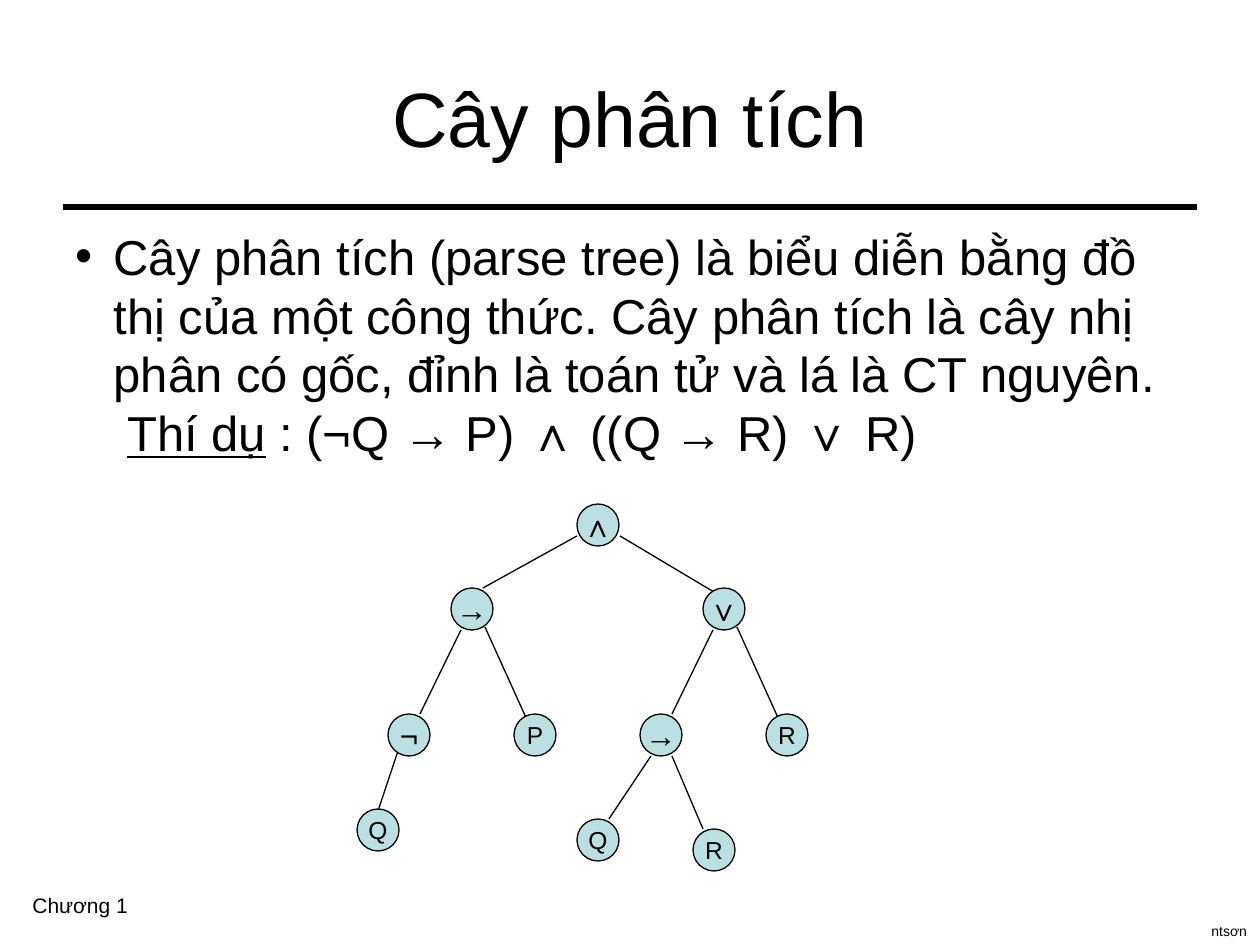
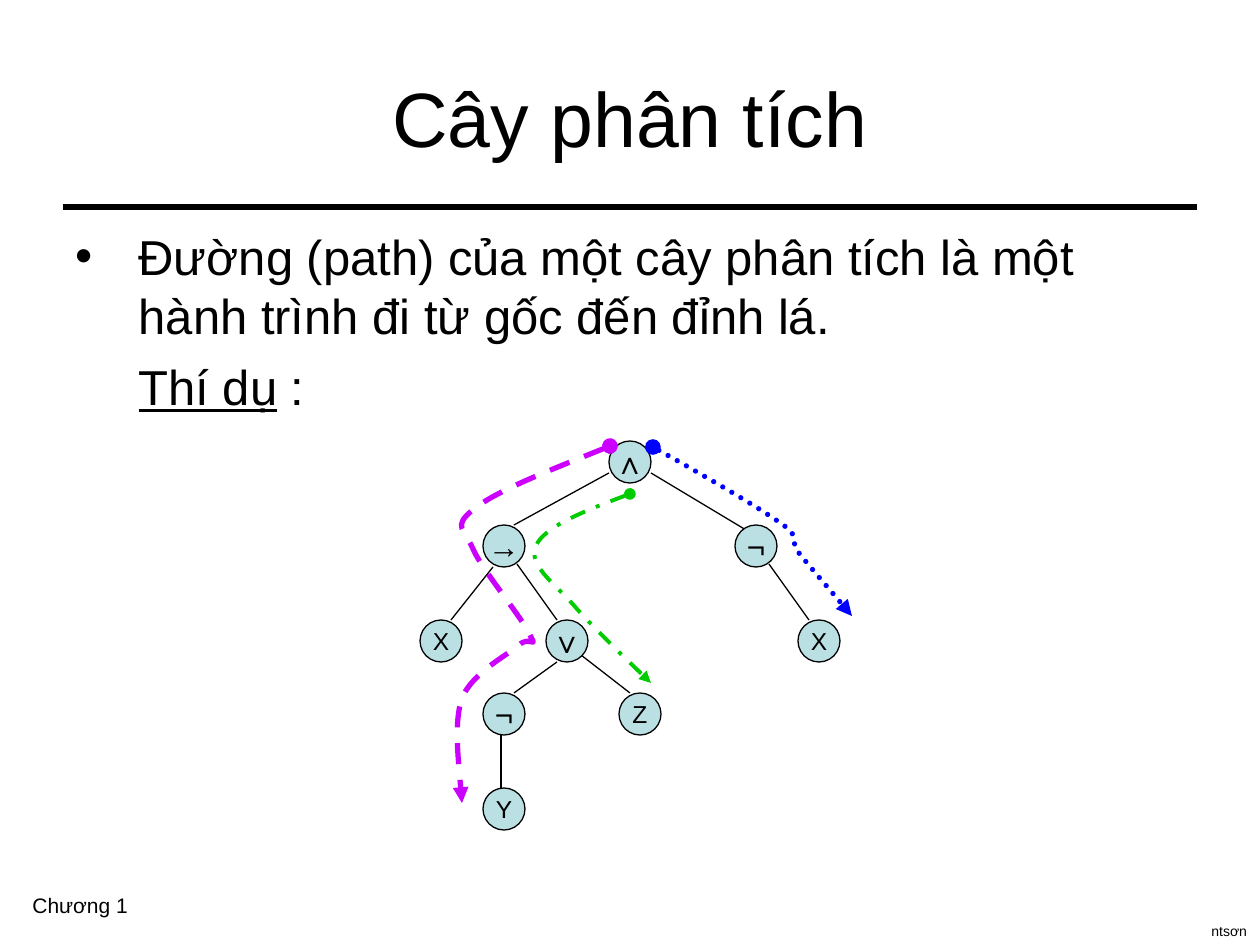
import lxml.etree
import pptx
import pptx.util
import pptx.dml.color
import pptx.enum.shapes
import pptx.enum.text
import pptx.oxml.ns

qn = pptx.oxml.ns.qn
RGB = pptx.dml.color.RGBColor.from_string
Pt = pptx.util.Pt
MIDDLE = pptx.enum.text.MSO_ANCHOR.MIDDLE
CENTER = pptx.enum.text.PP_ALIGN.CENTER
STRAIGHT = pptx.enum.shapes.MSO_CONNECTOR.STRAIGHT
OVAL = pptx.enum.shapes.MSO_SHAPE.OVAL
PX = 914400 // 126  # EMU in one pixel
NODE = 42           # node diameter

THEME = {
    "font": "Arial", "ink": "000000", "node": "BBE0E3",
    "title": 44, "body": 28, "operator": 18, "leaf": 14, "chapter": 12, "author": 8,
    "rule": 3, "edge": 0.75,
}


def style(p, size):
    """Give all runs and line breaks of a paragraph the theme's font."""
    for r in p.runs:
        r.font.name = THEME["font"]
        r.font.size = Pt(THEME[size])
        r.font.color.rgb = RGB(THEME["ink"])
    for br in p._p.findall(qn("a:br")):
        lxml.etree.SubElement(br, qn("a:rPr"), sz=str(THEME[size] * 100))


def add_line(s, x1, y1, x2, y2, width):
    line = s.shapes.add_connector(STRAIGHT, x1 * PX, y1 * PX, x2 * PX, y2 * PX)
    line.line.color.rgb = RGB(THEME["ink"])
    line.line.width = Pt(THEME[width])
    lxml.etree.SubElement(line._element.spPr, qn("a:effectLst"))
    return line


# Each body paragraph: bullet or not, then (text, underlined) runs
# Nodes: label and centre; edges: both ends
# Paths: colour, width, dash, then start and Bezier points
SLIDES = [
    {
        "indent": 38, "before": 0,
        "body": [
            (True, [("Cây phân tích (parse tree) là biểu diễn bằng đồ thị của một công thức. "
                     "Cây phân tích là cây nhị phân có gốc, đỉnh là toán tử và lá là CT nguyên.\v ",
                     False),
                    ("Thí dụ", True), (" : (¬Q → P) ∧ ((Q → R) ∨ R)", False)]),
        ],
        "edges": [
            (620, 536, 724, 598), (577, 536, 483, 588), (461, 630, 420, 714),
            (485, 627, 528, 722), (399, 748, 378, 811), (713, 630, 672, 714),
            (737, 627, 780, 722), (672, 756, 703, 829), (651, 756, 609, 819),
        ],
        "nodes": [
            ("∧", 598, 525), ("→", 472, 609), ("∨", 724, 609), ("¬", 409, 735),
            ("P", 535, 735), ("→", 661, 735), ("R", 787, 735), ("Q", 378, 830),
            ("Q", 598, 840), ("R", 714, 850),
        ],
        "paths": [],
    },
    {
        "indent": 63, "before": 7,
        "body": [
            (True, [("Đường (path) của một cây phân tích là một hành trình "
                     "đi từ gốc đến đỉnh lá.", False)]),
            (False, [("Thí dụ", True), (" :", False)]),
        ],
        "edges": [
            (651, 473, 756, 536), (609, 473, 514, 525), (493, 567, 451, 620),
            (517, 564, 557, 620), (557, 662, 514, 693), (769, 564, 809, 620),
            (581, 655, 630, 693), (501, 735, 501, 788),
        ],
        "nodes": [
            ("∧", 630, 462), ("→", 504, 546), ("¬", 756, 546), ("X", 441, 641),
            ("∨", 567, 641), ("X", 819, 641), ("¬", 504, 714), ("Z", 640, 714),
            ("Y", 504, 809),
        ],
        "paths": [
            ("CC00FF", 3, "dash", [
                (610, 446), (553, 469), (496, 491), (474, 509), (451, 527), (465, 529),
                (474, 551), (484, 572), (523, 619), (530, 635), (538, 650), (530, 635),
                (519, 645), (508, 655), (473, 672), (462, 698), (454, 723), (459, 764),
                (462, 803)]),
            ("0000FF", 3, "sysDot", [
                (653, 447), (703, 475), (753, 504), (779, 522), (803, 538), (788, 537),
                (799, 553), (811, 568), (832, 592), (852, 616)]),
            ("00CC00", 2.25, "dashDot", [
                (630, 494), (587, 510), (544, 527), (536, 546), (527, 566), (558, 586),
                (577, 609), (597, 631), (624, 657), (651, 683)]),
        ],
    },
]

prs = pptx.Presentation()
prs.slide_width, prs.slide_height = 1260 * PX, 945 * PX
layout = prs.slide_layouts[1]

for number, data in enumerate(SLIDES):
    s = prs.slides.add_slide(layout)

    # Rule and footers, made once and moved to the layout
    if number == 0:
        shared = [add_line(s, 63, 207, 1197, 207, "rule")]
        for text, size, x, y, w, h in [("ntsơn", "author", 1199, 916, 61, 30),
                                       ("Chương 1", "chapter", 20, 886, 121, 38)]:
            sp = s.shapes.add_textbox(x * PX, y * PX, w * PX, h * PX)
            sp.text_frame.word_wrap = False
            sp.text_frame.text = text
            style(sp.text_frame.paragraphs[0], size)
            shared.append(sp)
        for sp in shared:
            layout.shapes.element.append(sp._element)

    # Title
    sp = s.shapes.title
    sp.left, sp.top, sp.width, sp.height = 63 * PX, 38 * PX, 1134 * PX, 157 * PX
    tf = sp.text_frame
    tf.text = "Cây phân tích"
    tf.vertical_anchor = MIDDLE
    tf.paragraphs[0].alignment = CENTER
    style(tf.paragraphs[0], "title")

    # Body
    sp = s.placeholders[1]
    sp.left, sp.top, sp.width, sp.height = 63 * PX, 220 * PX, 1134 * PX, 624 * PX
    tf = sp.text_frame
    tf.auto_size = pptx.enum.text.MSO_AUTO_SIZE.NONE
    for i, (bullet, runs) in enumerate(data["body"]):
        p = tf.add_paragraph() if i else tf.paragraphs[0]
        p.text = runs[0][0]
        p.runs[0].font.underline = runs[0][1]
        for text, underlined in runs[1:]:
            r = p.add_run()
            r.text = text
            r.font.underline = underlined
        p.space_before = Pt(data["before"])
        style(p, "body")
        pPr = p._p.get_or_add_pPr()
        indent = data["indent"] * PX
        pPr.set("marL", str(indent))
        pPr.set("indent", str(-indent if bullet else 0))
        if bullet:
            lxml.etree.SubElement(pPr, qn("a:buChar"), char="•")
        else:
            lxml.etree.SubElement(pPr, qn("a:buNone"))

    # Tree edges
    for edge in data["edges"]:
        add_line(s, *edge, "edge")

    # Tree nodes
    for label, x, y in data["nodes"]:
        sp = s.shapes.add_shape(OVAL, (x - NODE // 2) * PX, (y - NODE // 2) * PX,
                                NODE * PX, NODE * PX)
        sp.shadow.inherit = False
        sp.fill.solid()
        sp.fill.fore_color.rgb = RGB(THEME["node"])
        sp.line.color.rgb = RGB(THEME["ink"])
        sp.line.width = Pt(THEME["edge"])
        tf = sp.text_frame
        tf.margin_left = tf.margin_right = tf.margin_top = tf.margin_bottom = 0
        tf.word_wrap = False
        tf.vertical_anchor = MIDDLE
        tf.text = label
        tf.paragraphs[0].alignment = CENTER
        style(tf.paragraphs[0], "leaf" if label.isalpha() else "operator")

    # Curved paths from root to leaf
    for color, width, dash, points in data["paths"]:
        builder = s.shapes.build_freeform(*points[0], scale=PX)
        builder.add_line_segments(points[1:], close=False)
        sp = builder.convert_to_shape()
        sp.shadow.inherit = False
        sp.fill.background()
        sp.line.color.rgb = RGB(color)
        sp.line.width = Pt(width)
        # Every three segments become one Bezier curve
        segments = list(sp._element.iter(qn("a:lnTo")))
        for i in range(0, len(segments), 3):
            curve = lxml.etree.Element(qn("a:cubicBezTo"))
            segments[i].addprevious(curve)
            for segment in segments[i:i + 3]:
                curve.append(segment[0])
                segment.getparent().remove(segment)
        ln = sp.line._get_or_add_ln()
        if dash == "sysDot":
            ln.set("cap", "rnd")
        lxml.etree.SubElement(ln, qn("a:prstDash"), val=dash)
        lxml.etree.SubElement(ln, qn("a:round"))
        lxml.etree.SubElement(ln, qn("a:headEnd"), type="oval")
        lxml.etree.SubElement(ln, qn("a:tailEnd"), type="triangle")

prs.save("out.pptx")
